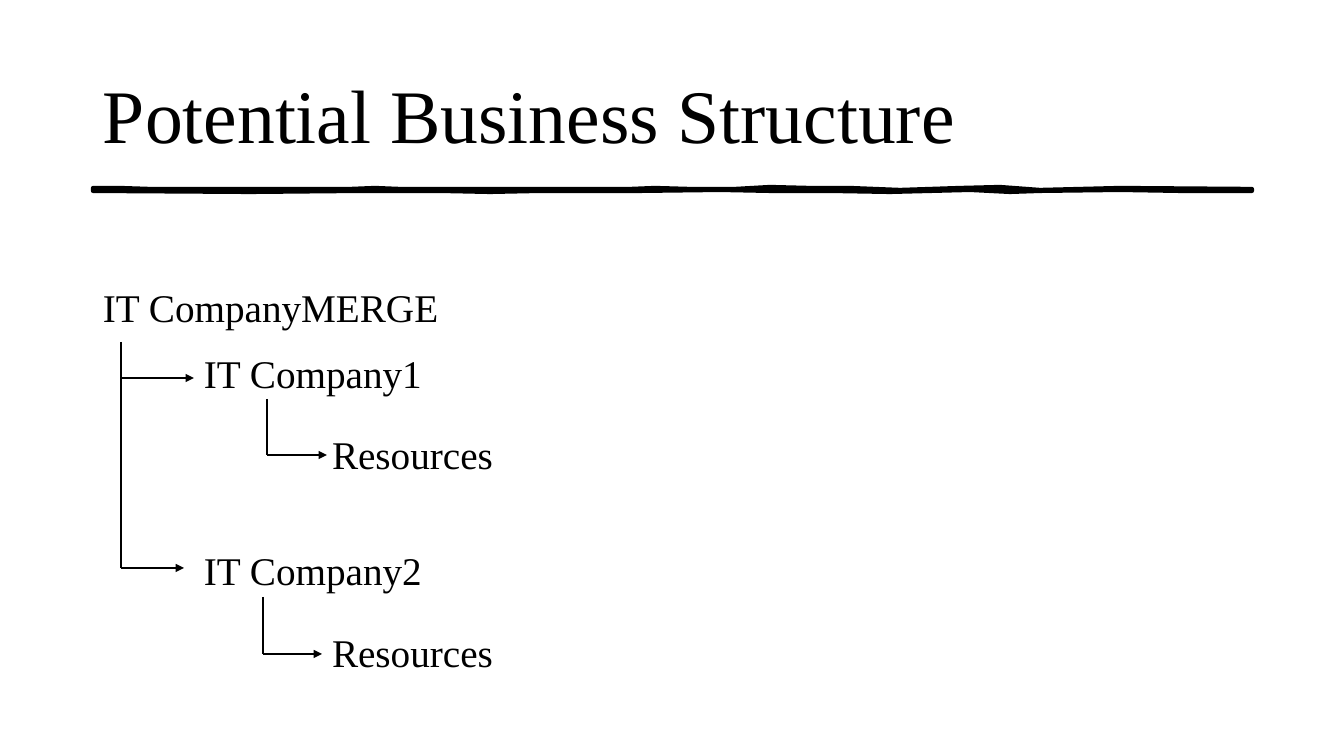
from lxml import etree
from pptx import Presentation, util as u
from pptx.dml.color import RGBColor
from pptx.enum import shapes, text
from pptx.oxml.ns import qn

PX = 914400 / 100.8
BLACK = RGBColor(0, 0, 0)
FONT = "Times New Roman"


def px(n):
    return u.Emu(round(n * PX))


deck = Presentation()
deck.slide_width, deck.slide_height = px(1344), px(756)
slide = deck.slides.add_slide(deck.slide_layouts[6])


def label(words, x, y, w, h, size):
    """Add one line of text, centred in height, without insets."""
    box = slide.shapes.add_textbox(px(x), px(y), px(w), px(h))
    frame = box.text_frame
    frame.margin_left = frame.margin_right = 0
    frame.margin_top = frame.margin_bottom = 0
    frame.vertical_anchor = text.MSO_ANCHOR.MIDDLE
    frame.word_wrap = True
    run = frame.paragraphs[0].add_run()
    run.text = words
    run.font.name = FONT
    run.font.size = u.Pt(size)
    run.font.color.rgb = BLACK


def line(x1, y1, x2, y2, arrow=False):
    link = slide.shapes.add_connector(
        shapes.MSO_CONNECTOR.STRAIGHT, px(x1), px(y1), px(x2), px(y2))
    link.line.color.rgb = BLACK
    link.line.width = u.Pt(1.5)
    if arrow:
        etree.SubElement(link.line._get_or_add_ln(), qn("a:tailEnd"), type="triangle")
    etree.SubElement(link._element.spPr, qn("a:effectLst"))


# Hand-drawn rule under the title
top = [(93, 188), (120, 188), (150, 189), (350, 189), (375, 188), (400, 189),
       (630, 189), (655, 188), (690, 189), (735, 189), (770, 187), (810, 188),
       (850, 188), (900, 190), (960, 188), (1000, 187), (1040, 190),
       (1120, 188), (1252, 189)]
base = [(1252, 191), (1180, 191), (1120, 190), (1040, 191), (1010, 192),
        (970, 190), (890, 192), (830, 191), (770, 191), (720, 190), (640, 191),
        (540, 191), (490, 192), (440, 191), (360, 191), (250, 192), (93, 191)]
pen = slide.shapes.build_freeform(*top[0], scale=PX)
pen.add_line_segments(top[1:] + base, close=True)
rule = pen.convert_to_shape()
rule.shadow.inherit = False
rule.fill.solid()
rule.fill.fore_color.rgb = BLACK
rule.line.color.rgb = BLACK
rule.line.width = u.Pt(3)

label("Potential Business Structure", 103, 40, 1139, 146, 54)

for words, x, y in [("IT CompanyMERGE", 103, 284),
                    ("IT Company1", 204, 350),
                    ("Resources", 332, 431),
                    ("IT Company2", 204, 547),
                    ("Resources", 332, 629)]:
    label(words, x, y, 400, 46, 28)

# Each trunk drops from its parent and branches to its children
for x, start, ends in [(121, 342, [(194, 378), (184, 568)]),
                       (267, 399, [(327, 455)]),
                       (263, 597, [(322, 654)])]:
    line(x, start, x, ends[-1][1])
    for tip, y in ends:
        line(x, y, tip, y, arrow=True)

deck.save("out.pptx")
